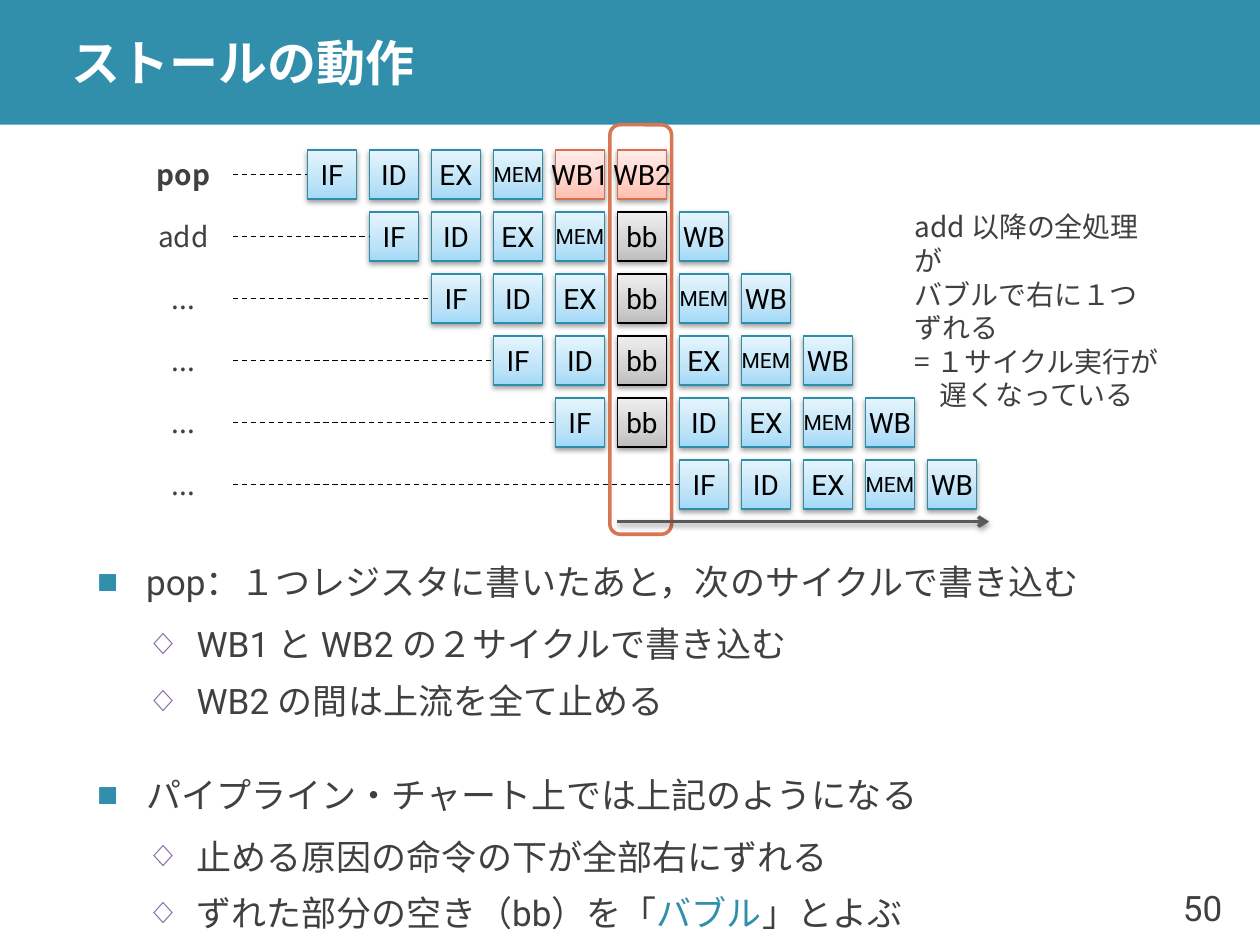
from lxml.etree import SubElement
from pptx import Presentation
from pptx.dml.color import RGBColor
from pptx.enum.dml import MSO_LINE_DASH_STYLE as Dash
from pptx.enum.shapes import MSO_CONNECTOR as Connector, MSO_SHAPE as Shape
from pptx.enum.text import MSO_ANCHOR as Anchor, MSO_AUTO_SIZE as AutoSize, PP_ALIGN as Align
from pptx.oxml import parse_xml
from pptx.oxml.ns import nsdecls, qn
from pptx.util import Inches, Pt

LATIN, JAPANESE = "Roboto", "Noto Sans CJK JP"
TEAL = RGBColor(0x32, 0x8F, 0xAC)
TEXT = RGBColor(0x40, 0x40, 0x40)
WHITE = RGBColor(0xFF, 0xFF, 0xFF)
BLACK = RGBColor(0, 0, 0)
PURPLE = RGBColor(0x80, 0x64, 0xA2)
ORANGE = RGBColor(0xD8, 0x75, 0x52)
AXIS = RGBColor(0x59, 0x59, 0x59)

BLUE_CELL = (RGBColor(0x2E, 0x8D, 0xAB), ("A2D9F7", "BFE4F8", "E6F5FD"))
RED_CELL = (RGBColor(0xD7, 0x71, 0x4D), ("FFBEB0", "FFD0C7", "FFEDEA"))
GRAY_CELL = (BLACK, ("BDBDBD", "D1D1D1", "EEEEEE"))
CELL_STYLES = {"WB1": RED_CELL, "WB2": RED_CELL, "bb": GRAY_CELL}

CELL = Inches(0.39)
PITCH = Inches(4.92) / 10
LABEL_WIDTH = Inches(0.79)
FIRST_CELL = Inches(1.38)
PIPELINE = [
    ("pop", 0, "IF ID EX MEM WB1 WB2"),
    ("add", 1, "IF ID EX MEM bb WB"),
    ("...", 2, "IF ID EX bb MEM WB"),
    ("...", 3, "IF ID bb EX MEM WB"),
    ("...", 4, "IF bb ID EX MEM WB"),
    ("...", 6, "IF ID EX MEM WB"),
]
BULLETS = [
    (0, ["pop：１つレジスタに書いたあと，次のサイクルで書き込む"]),
    (1, ["WB1 と WB2 の２サイクルで書き込む"]),
    (1, ["WB2 の間は上流を全て止める"]),
    (0, ["パイプライン・チャート上では上記のようになる"]),
    (1, ["止める原因の命令の下が全部右にずれる"]),
    (1, ["ずれた部分の空き（bb）を「", "バブル", "」とよぶ"]),
]
BULLET_STYLES = [("■", TEAL, 100, 24, 6), ("◇", PURPLE, 90, 3, 3)]
NOTE = ["add 以降の全処理が", "バブルで右に１つずれる", "= １サイクル実行が", "遅くなっている"]


def style_span(span, size, color, face=LATIN, bold=False):
    """Set the Latin and Japanese fonts, size and colour of a run."""
    font = span.font
    font.size, font.name, font.bold = Pt(size), face, bold
    font.color.rgb = color
    SubElement(span._r.get_or_add_rPr(), qn("a:ea"), typeface=JAPANESE)


def place(item, left, top, width, height):
    """Move a placeholder to a box."""
    item.left, item.top, item.width, item.height = left, top, width, height


def add_shadow(effects):
    """Put a soft downward shadow into an effect list."""
    effects.append(parse_xml(
        f'<a:outerShdw {nsdecls("a")} blurRad="39400" dist="20300" dir="5400000" rotWithShape="0">'
        '<a:srgbClr val="000000"><a:alpha val="38000"/></a:srgbClr></a:outerShdw>'))


def add_line(page, start, end, color, width):
    """Draw a straight connector and return it with its empty effect list."""
    line = page.shapes.add_connector(Connector.STRAIGHT, *start, *end)
    line.line.color.rgb, line.line.width = color, Pt(width)
    return line, SubElement(line._element.spPr, qn("a:effectLst"))


def add_label(page, lines, left, top, width, align, bold=False):
    """Add an unwrapped text box without margins."""
    box = page.shapes.add_textbox(left, top, width, CELL)
    frame = box.text_frame
    frame.word_wrap, frame.vertical_anchor = False, Anchor.MIDDLE
    frame.margin_left = frame.margin_right = frame.margin_top = frame.margin_bottom = 0
    frame.text = "\n".join(lines)
    for para in frame.paragraphs:
        para.alignment = align
        style_span(para.runs[0], 16, TEXT, JAPANESE, bold)
    return box


def add_cell(page, stage, left, top):
    """Add one shaded pipeline stage."""
    outline, shades = CELL_STYLES.get(stage, BLUE_CELL)
    cell = page.shapes.add_shape(Shape.RECTANGLE, left, top, CELL, CELL)
    cell.line.color.rgb, cell.line.width = outline, Pt(0.75)
    stops = "".join(f'<a:gs pos="{position}"><a:srgbClr val="{shade}"/></a:gs>'
                    for position, shade in zip((0, 35000, 100000), shades))
    properties = cell._element.spPr
    properties.insert(2, parse_xml(
        f'<a:gradFill {nsdecls("a")} rotWithShape="1"><a:gsLst>{stops}</a:gsLst>'
        '<a:lin ang="16200000" scaled="1"/></a:gradFill>'))
    cell.shadow.inherit = False
    add_shadow(properties.find(qn("a:effectLst")))
    frame = cell.text_frame
    frame.word_wrap, frame.vertical_anchor = False, Anchor.MIDDLE
    frame.text = stage
    para = frame.paragraphs[0]
    para.alignment = Align.CENTER
    style_span(para.runs[0], 12 if stage == "MEM" else 16, BLACK)
    return cell


def add_pipeline(page, left, top):
    """Draw the staggered pipeline rows, the stalled cycle and the time arrow."""
    for row, (name, start, stages) in enumerate(PIPELINE):
        row_top = round(top + row * PITCH)
        label = add_label(page, [name], left, row_top, LABEL_WIDTH, Align.CENTER, row == 0)
        cells = [add_cell(page, stage, round(left + FIRST_CELL + column * PITCH), row_top)
                 for column, stage in enumerate(stages.split(), start)]
        leader, _ = add_line(page, (0, 0), (0, 0), BLACK, 0.75)
        leader.line.dash_style = Dash.DASH
        leader.begin_connect(label, 3)
        leader.end_connect(cells[0], 1)

    stall = page.shapes.add_shape(Shape.ROUNDED_RECTANGLE, left + Inches(3.78),
                                  top - Inches(0.2), Inches(0.49), Inches(3.25))
    stall.shadow.inherit = False
    stall.fill.background()
    stall.line.color.rgb, stall.line.width = ORANGE, Pt(2)

    axis_top = top + Inches(2.95)
    axis, effects = add_line(page, (left + Inches(3.84), axis_top),
                             (left + Inches(6.79), axis_top), AXIS, 2)
    SubElement(axis.line._get_or_add_ln(), qn("a:tailEnd"), type="arrow")
    add_shadow(effects)


def add_note(page, left, top, width):
    """Add the remark beside the pipeline with its last line indented."""
    note = add_label(page, NOTE, left, top, width, Align.LEFT)
    last = note.text_frame.paragraphs[-1]._p.get_or_add_pPr()
    last.set("marL", str(Inches(0.2)))


def add_title(page, left, top, width, height):
    """Fill the title placeholder over a full-width band."""
    band = page.shapes.add_shape(Shape.RECTANGLE, 0, top, left + width, height)
    band.shadow.inherit = False
    band.fill.solid()
    band.fill.fore_color.rgb = TEAL
    band.line.fill.background()
    page.shapes._spTree.insert(2, band._element)
    title = page.shapes.title
    place(title, left, top, width, height)
    frame = title.text_frame
    frame.text = "ストールの動作"
    frame.margin_top = frame.margin_bottom = 0
    frame.vertical_anchor = Anchor.MIDDLE
    para = frame.paragraphs[0]
    para.alignment = Align.LEFT
    style_span(para.runs[0], 28, WHITE, bold=True)


def add_bullets(page, left, top, width, height):
    """Fill the body placeholder with the two-level list."""
    body = page.placeholders[1]
    place(body, left, top, width, height)
    frame = body.text_frame
    frame.auto_size, frame.vertical_anchor = AutoSize.NONE, Anchor.MIDDLE
    frame.text = "\n".join("" for _ in BULLETS)
    for para, (level, parts) in zip(frame.paragraphs, BULLETS):
        mark, mark_color, mark_size, before, after = BULLET_STYLES[level]
        para.level, para.line_spacing = level, 1.1
        para.space_before, para.space_after = Pt(before), Pt(after)
        properties = para._p.get_or_add_pPr()
        properties.set("marL", str(Inches(0.39 if level == 0 else 0.79)))
        properties.set("indent", str(-Inches(0.39)))
        SubElement(SubElement(properties, qn("a:buClr")), qn("a:srgbClr"), val=str(mark_color))
        SubElement(properties, qn("a:buSzPct"), val=str(mark_size * 1000))
        SubElement(properties, qn("a:buChar"), char=mark)
        for part in parts:
            span = para.add_run()
            span.text = part
            style_span(span, 20, TEAL if part == "バブル" else TEXT)


def add_page_number(page, left, top, width, height):
    """Add the page number at the lower right."""
    box = page.shapes.add_textbox(left, top, width, height)
    frame = box.text_frame
    frame.word_wrap, frame.vertical_anchor = False, Anchor.MIDDLE
    frame.text = "50"
    para = frame.paragraphs[0]
    para.alignment = Align.RIGHT
    style_span(para.runs[0], 20, TEXT)


def main():
    """Build and save the slide."""
    deck = Presentation()
    deck.slide_width, deck.slide_height = Inches(10), Inches(7.5)
    page = deck.slides.add_slide(deck.slide_layouts[1])
    add_title(page, Inches(0.47), 0, Inches(9.53), Inches(0.99))
    add_bullets(page, Inches(0.67), Inches(4.93), Inches(9.06), Inches(1.97))
    add_pipeline(page, Inches(1.06), Inches(1.19))
    add_note(page, Inches(7.26), Inches(2.27), Inches(1.97))
    add_page_number(page, Inches(9.13), Inches(6.9), Inches(0.67), Inches(0.6))
    deck.save("out.pptx")


if __name__ == "__main__":
    main()
